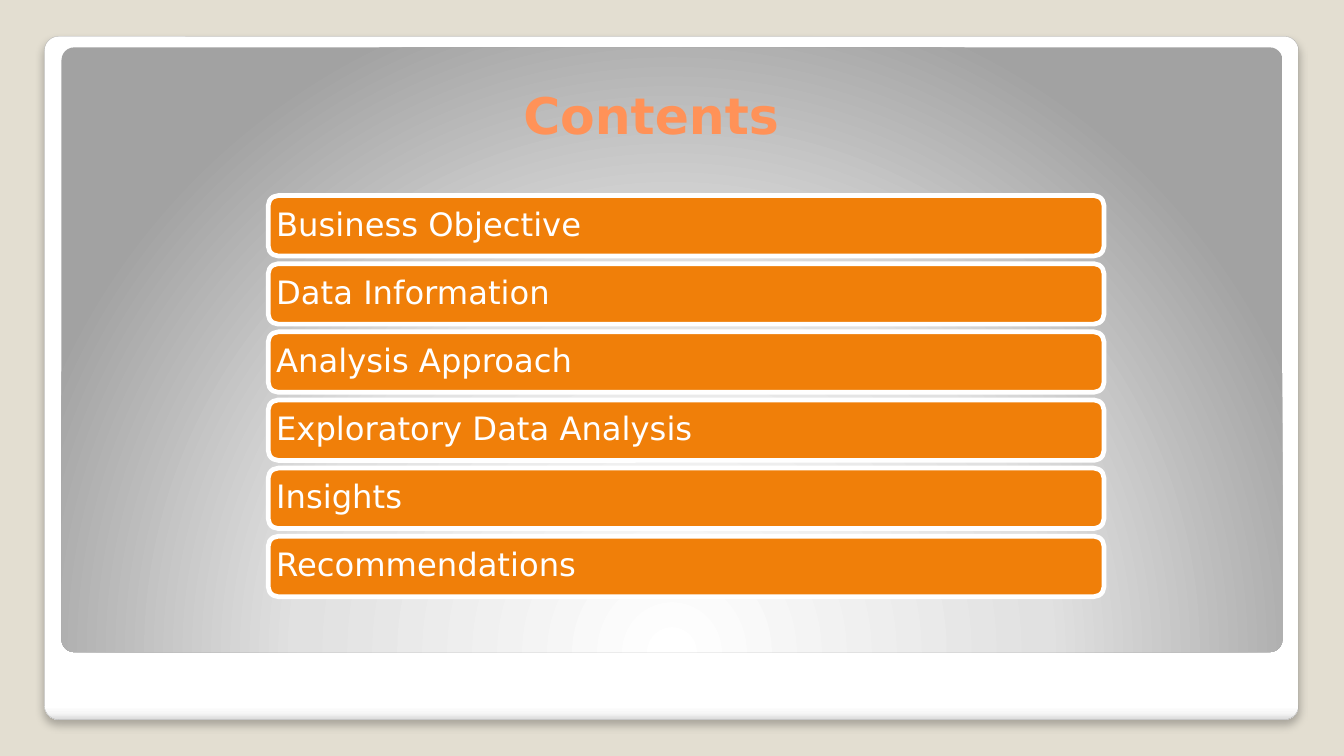
from lxml import etree
from pptx import Presentation
from pptx.dml.color import RGBColor
from pptx.enum import shapes, text
from pptx.oxml.ns import qn
from pptx.util import Inches, Pt

FONT = "DejaVu Sans"
BEIGE = RGBColor(0xE3, 0xDE, 0xD1)
GREY = RGBColor(0xA4, 0xA4, 0xA4)
CORAL = RGBColor(0xFF, 0x92, 0x58)
ORANGE = RGBColor(0xF0, 0x7F, 0x09)
WHITE = RGBColor(0xFF, 0xFF, 0xFF)

TOPICS = ["Business Objective", "Data Information", "Analysis Approach",
          "Exploratory Data Analysis", "Insights", "Recommendations"]
BAR_TOP, BAR_PITCH = 1.94, 0.676


def add_round_rect(s, x, y, w, h, line=None, line_width=0):
    sp = s.shapes.add_shape(shapes.MSO_SHAPE.ROUNDED_RECTANGLE,
                            Inches(x), Inches(y), Inches(w), Inches(h))
    sp.shadow.inherit = False
    if line is None:
        sp.line.fill.background()
    else:
        sp.line.color.rgb = line
        sp.line.width = Pt(line_width)
    return sp


def child(parent, tag, **attrs):
    return etree.SubElement(parent, qn(tag), {k: str(v) for k, v in attrs.items()})


def set_gradient(sp, stops):
    """Put a gradient of (percent, hex colour) stops on sp; return its element."""
    grad = etree.Element(qn("a:gradFill"), rotWithShape="1")
    stop_list = child(grad, "a:gsLst")
    for percent, colour in stops:
        child(child(stop_list, "a:gs", pos=percent * 1000), "a:srgbClr", val=colour)
    sp._element.spPr.find(qn("a:prstGeom")).addnext(grad)
    return grad


def add_frame(s):
    sp = add_round_rect(s, 0.44, 0.36, 12.44, 6.78, GREY, 0.16)
    sp.adjustments[0] = 0.021
    grad = set_gradient(sp, [(0, "FFFFFF"), (98, "FFFFFF"), (99, "F7F7F7"), (100, "DADADA")])
    child(grad, "a:lin", ang=5400000, scaled=0)
    effects = sp._element.spPr.find(qn("a:effectLst"))
    shadow = child(effects, "a:outerShdw", blurRad=Pt(6), dist=Pt(4), dir=5400000,
                   algn="tl", rotWithShape=0)
    child(child(shadow, "a:srgbClr", val="000000"), "a:alpha", val=25000)


def add_panel(s):
    sp = add_round_rect(s, 0.61, 0.47, 12.11, 6)
    sp.adjustments[0] = 0.021
    grad = set_gradient(sp, [(0, "FFFFFF"), (55, "E1E1E1"), (100, "A2A2A2")])
    path = child(grad, "a:path", path="circle")
    child(path, "a:fillToRect", l=50000, t=175000, r=50000, b=-75000)


def write(tf, wording, size, colour, anchor, bold=False):
    tf.word_wrap = True
    tf.vertical_anchor = anchor
    p = tf.paragraphs[0]
    p.alignment = text.PP_ALIGN.LEFT
    r = p.add_run()
    r.text = wording
    r.font.name = FONT
    r.font.size = Pt(size)
    r.font.bold = bold
    r.font.color.rgb = colour
    return p


def add_title(s, wording):
    tf = s.shapes.add_textbox(Inches(5.12), Inches(0.72), Inches(2.8), Inches(0.76)).text_frame
    tf.margin_left = tf.margin_right = Inches(0.07)
    write(tf, wording, 36, CORAL, text.MSO_ANCHOR.BOTTOM, bold=True)


def add_topic_bar(s, y, wording):
    sp = add_round_rect(s, 2.66, y, 8.29, 0.6, WHITE, 3.35)
    sp.fill.solid()
    sp.fill.fore_color.rgb = ORANGE
    tf = sp.text_frame
    tf.margin_left = tf.margin_right = Inches(0.05)
    p = write(tf, wording, 23, WHITE, text.MSO_ANCHOR.MIDDLE)
    p.line_spacing = 0.9


def main():
    prs = Presentation()
    prs.slide_width, prs.slide_height = Inches(13.33), Inches(7.5)
    s = prs.slides.add_slide(prs.slide_layouts[6])
    s.background.fill.solid()
    s.background.fill.fore_color.rgb = BEIGE
    add_frame(s)
    add_panel(s)
    add_title(s, "Contents")
    for i, topic in enumerate(TOPICS):
        add_topic_bar(s, BAR_TOP + i * BAR_PITCH, topic)
    prs.save("out.pptx")


if __name__ == "__main__":
    main()
